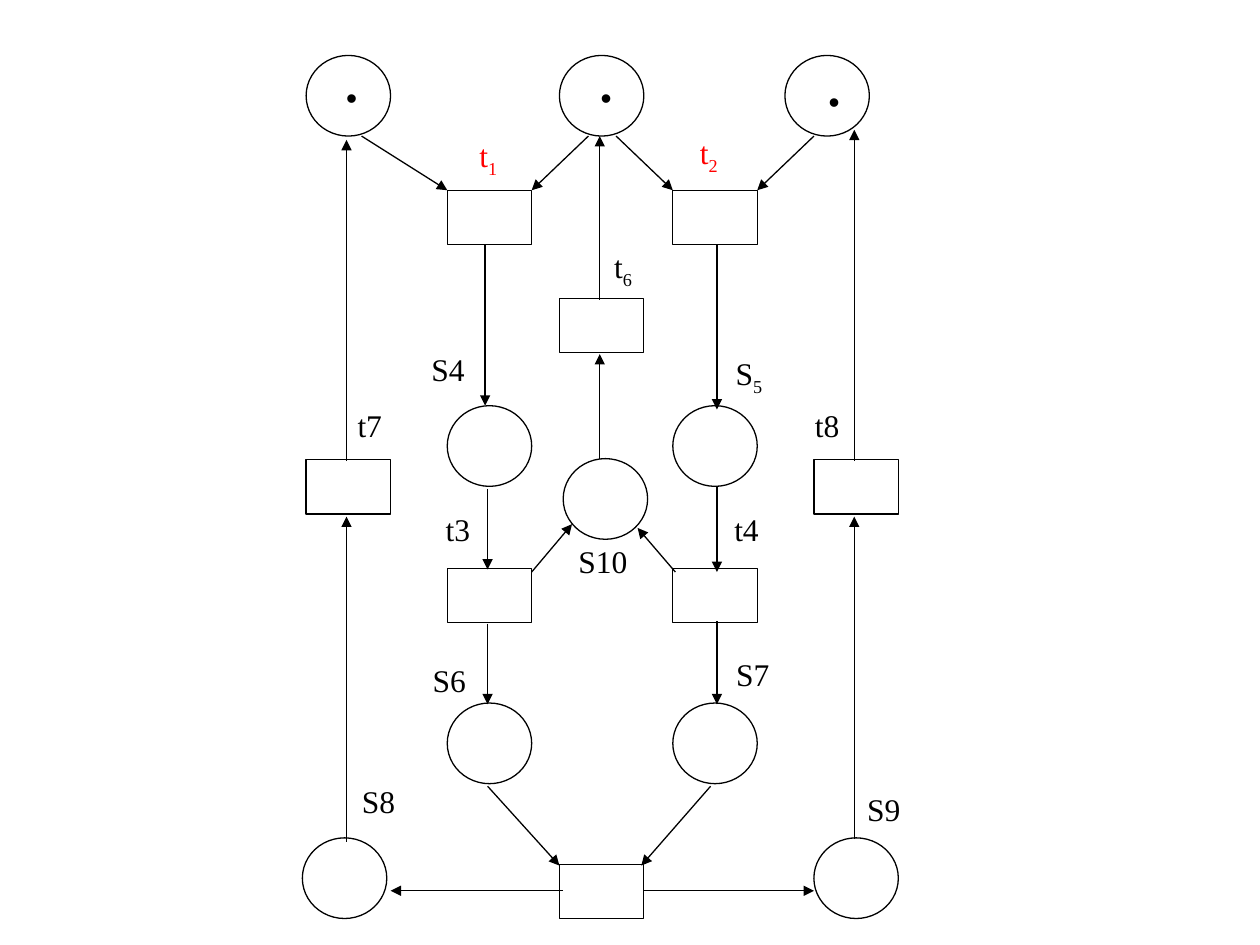
"""Build a slide with a Petri net of places, transitions, arcs and tokens."""
from pptx import Presentation
from pptx.dml.color import RGBColor
from pptx.enum.shapes import MSO_CONNECTOR as Link, MSO_SHAPE as Shape
from pptx.enum.text import MSO_ANCHOR as Anchor, PP_ALIGN as Align
from pptx.oxml.ns import qn
from pptx.util import Inches, Pt
from lxml.etree import SubElement

BLACK = RGBColor(0, 0, 0)
WHITE = RGBColor(255, 255, 255)
RED = RGBColor(255, 0, 0)

COLUMNS = {"left": 2.43, "inner left": 3.55, "middle": 4.44, "inner right": 5.34, "right": 6.46}
NODE_WIDTH, PLACE_HEIGHT, TRANSITION_HEIGHT = 0.67, 0.64, 0.43
LABEL_WIDTH, LABEL_HEIGHT, TOKEN_SIZE = 0.37, 0.47, 0.32

PLACES = [
    ("left", 0.44, 0), ("middle", 0.44, 0), ("right", 0.44, -0.23),
    ("inner left", 3.22, 0), ("inner right", 3.22, 0), ("middle", 3.64, 0.03),
    ("inner left", 5.58, 0), ("inner right", 5.58, 0),
    ("left", 6.65, -0.03), ("right", 6.65, 0),
]
TRANSITIONS = [
    ("inner left", 1.51, 0), ("inner right", 1.51, 0), ("middle", 2.37, 0),
    ("left", 3.65, 0), ("right", 3.65, 0),
    ("inner left", 4.51, 0), ("inner right", 4.51, 0), ("middle", 6.86, 0),
]
VERTICAL_ARCS = [
    (2.75, [(6.68, 4.1), (3.66, 1.11)]),
    (3.85, [(1.94, 3.22)]),
    (3.87, [(3.88, 4.52), (4.95, 5.59)]),
    (4.76, [(3.64, 2.81), (2.38, 1.08)]),
    (5.69, [(1.94, 3.25), (3.86, 4.54), (4.93, 5.59)]),
    (6.78, [(6.66, 4.1), (3.66, 1.03)]),
]
OTHER_ARCS = [
    (2.87, 1.08, 3.55, 1.51), (4.67, 1.08, 4.22, 1.51),
    (4.89, 1.08, 5.34, 1.51), (6.46, 1.08, 6.01, 1.51),
    (4.22, 4.54, 4.54, 4.16), (5.36, 4.54, 5.06, 4.19),
    (3.87, 6.24, 4.44, 6.87), (5.64, 6.24, 5.09, 6.87),
    (5.11, 7.07, 6.46, 7.07), (4.47, 7.07, 3.1, 7.07),
]
LABELS = [
    ("t", "1", 3.69, 1.08, RED), ("t", "2", 5.44, 1.06, RED),
    ("t3", "", 3.45, 4.05, BLACK), ("t4", "", 5.74, 4.05, BLACK),
    ("t", "6", 4.76, 1.96, BLACK), ("t7", "", 2.75, 3.22, BLACK),
    ("t8", "", 6.38, 3.22, BLACK), ("S4", "", 3.37, 2.78, BLACK),
    ("S", "5", 5.76, 2.81, BLACK), ("S6", "", 3.38, 5.25, BLACK),
    ("S7", "", 5.79, 5.2, BLACK), ("S8", "", 2.82, 6.21, BLACK),
    ("S9", "", 6.83, 6.27, BLACK), ("S10", "", 4.59, 4.3, BLACK),
]
TOKENS = [(2.63, 0.64), (4.65, 0.64), (6.46, 0.67)]
FRAME_FORMAT = {
    "word_wrap": True, "vertical_anchor": Anchor.TOP,
    "margin_left": 0, "margin_right": 0, "margin_top": 0, "margin_bottom": 0,
}


def set_format(target, values):
    for name, value in values.items():
        setattr(target, name, value)


def add_node(page, kind, column, top, shift, height):
    node = page.shapes.add_shape(
        kind, Inches(COLUMNS[column] + shift), Inches(top), Inches(NODE_WIDTH), Inches(height))
    node.shadow.inherit = False
    node.fill.solid()
    node.fill.fore_color.rgb = WHITE
    node.line.color.rgb = BLACK
    node.line.width = Pt(0.75)


def add_arc(page, *ends):
    arc = page.shapes.add_connector(Link.STRAIGHT, *map(Inches, ends))
    arc.line.color.rgb = BLACK
    arc.line.width = Pt(0.75)
    SubElement(arc.line._get_or_add_ln(), qn("a:tailEnd"), type="triangle")
    SubElement(arc._element.spPr, qn("a:effectLst"))


def add_text(page, spans, area, font_name, color, align=Align.CENTER):
    box = page.shapes.add_textbox(*map(Inches, area))
    set_format(box.text_frame, FRAME_FORMAT)
    para = box.text_frame.paragraphs[0]
    para.alignment = align
    for text, baseline in spans:
        span = para.add_run()
        span.text = text
        set_format(span.font, {"name": font_name, "size": Pt(18)})
        span.font.color.rgb = color
        if baseline:
            span._r.get_or_add_rPr().set("baseline", baseline)
    return para


def main():
    deck = Presentation()
    deck.slide_width, deck.slide_height = Inches(10), Inches(7.5)
    page = deck.slides.add_slide(deck.slide_layouts[6])

    for kind, nodes, height in (
        (Shape.OVAL, PLACES, PLACE_HEIGHT),
        (Shape.RECTANGLE, TRANSITIONS, TRANSITION_HEIGHT),
    ):
        for column, top, shift in nodes:
            add_node(page, kind, column, top, shift, height)

    for x, spans in VERTICAL_ARCS:
        for start, end in spans:
            add_arc(page, x, start, x, end)
    for ends in OTHER_ARCS:
        add_arc(page, *ends)

    for text, subscript, left, top, color in LABELS:
        spans = [(text, None)] + ([(subscript, "-25000")] if subscript else [])
        wide = len(text) > 2
        add_text(page, spans, (left, top, LABEL_WIDTH + 0.05 * wide, LABEL_HEIGHT),
                 "Times New Roman", color, Align.JUSTIFY if wide else Align.CENTER)
    for left, top in TOKENS:
        token = add_text(page, [("•", None)], (left, top, TOKEN_SIZE, TOKEN_SIZE), "Arial", BLACK)
        token.line_spacing = 0.96

    deck.save("out.pptx")


if __name__ == "__main__":
    main()
